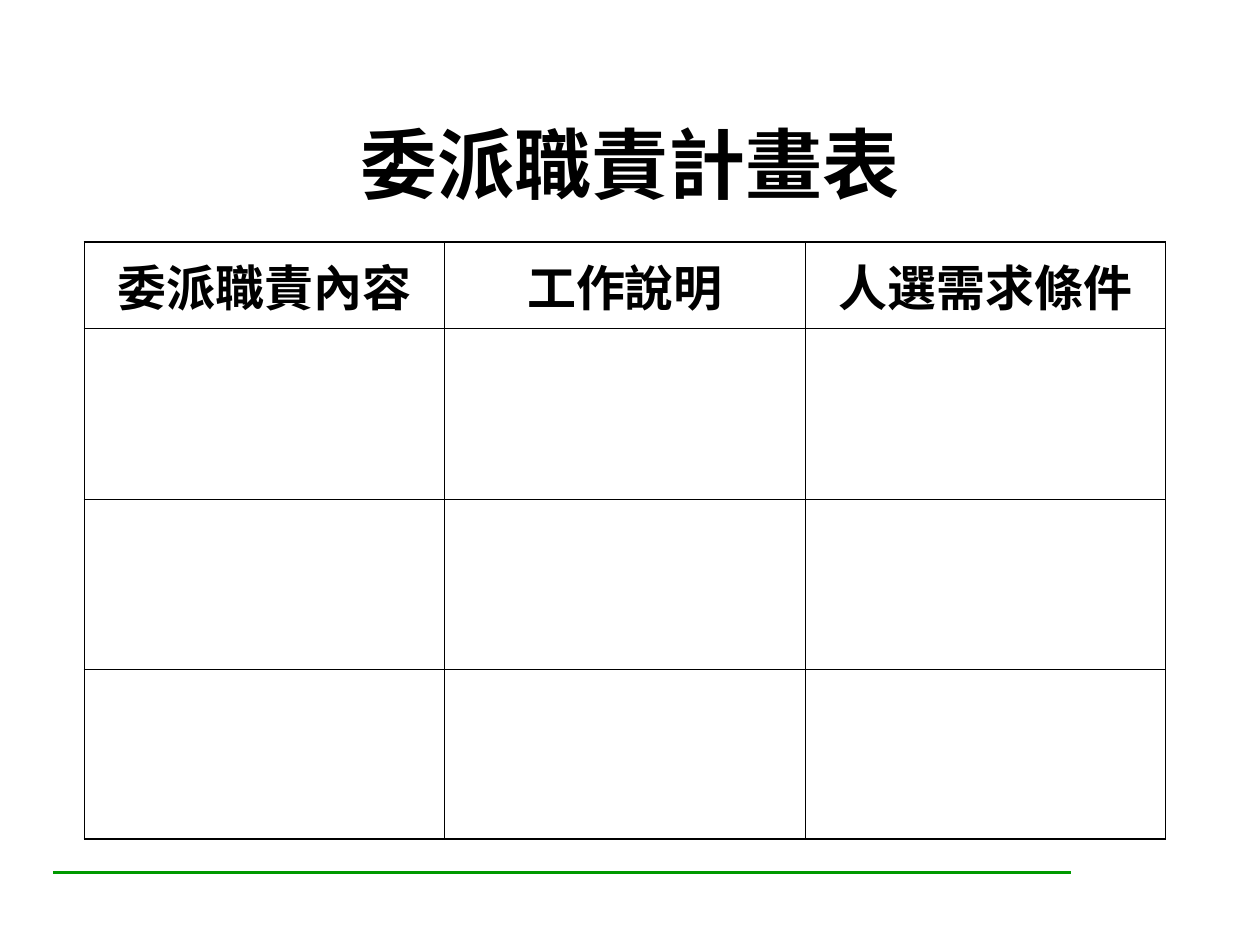
from lxml import etree
from pptx import Presentation
from pptx.dml.color import RGBColor
from pptx.enum.shapes import MSO_CONNECTOR
from pptx.enum.text import MSO_ANCHOR, PP_ALIGN
from pptx.oxml.ns import qn
from pptx.util import Inches, Pt

STRAIGHT = MSO_CONNECTOR.STRAIGHT
MIDDLE = MSO_ANCHOR.MIDDLE
CENTER = PP_ALIGN.CENTER

BLACK = RGBColor(0x00, 0x00, 0x00)
GREEN = RGBColor(0x00, 0x99, 0x00)
CJK_FONT = "Noto Sans CJK SC"
LATIN_FONT = "Times New Roman"
THIN, THICK = 0.45, 1.08

HEADINGS = ["委派職責內容", "工作說明", "人選需求條件"]
COLUMN_WIDTH = 2.86
ROW_HEIGHTS = [0.69, 1.35, 1.35, 1.35]


def write(frame, text, font=CJK_FONT, size=28, bold=True, color=BLACK):
    """Put one centred line of text in a text frame."""
    para = frame.paragraphs[0]
    para.alignment = CENTER
    span = para.add_run()
    span.text = text
    span.font.name = font
    span.font.size = Pt(size)
    span.font.bold = bold
    span.font.color.rgb = color
    latin = span.font._element.find(qn("a:latin"))
    east_asian = etree.Element(qn("a:ea"), typeface=CJK_FONT)
    latin.addnext(east_asian)


class PlanPage:
    """Style and current slide of the delegation plan."""

    def __init__(self, deck):
        self.page = deck.slides.add_slide(deck.slide_layouts[6])
        self.width, self.height = deck.slide_width, deck.slide_height

    def place(self, x, y):
        """Turn shares of the slide's size into lengths."""
        return round(x * self.width), round(y * self.height)

    def rule(self, start, end, color, weight):
        line = self.page.shapes.add_connector(
            STRAIGHT, *self.place(*start), *self.place(*end))
        line.line.color.rgb = color
        line.line.width = Pt(weight)
        etree.SubElement(line._element.spPr, qn("a:effectLst"))

    def title(self, corner, size, text):
        box = self.page.shapes.add_textbox(
            *self.place(*corner), *self.place(*size))
        box.text_frame.word_wrap = True
        box.text_frame.vertical_anchor = MIDDLE
        write(box.text_frame, text, size=44)

    def border(self, cell, weights):
        """Draw left, right, top and bottom borders, in that order."""
        properties = cell._tc.get_or_add_tcPr()
        for index, (side, weight) in enumerate(zip("LRTB", weights)):
            line = etree.Element(qn(f"a:ln{side}"), w=str(int(Pt(weight))))
            fill = etree.SubElement(line, qn("a:solidFill"))
            etree.SubElement(fill, qn("a:srgbClr"), val=str(BLACK))
            properties.insert(index, line)

    def grid(self, corner, headings, column_width, row_heights):
        columns, rows = len(headings), len(row_heights)
        table = self.page.shapes.add_table(
            rows, columns, *self.place(*corner),
            Inches(column_width * columns), Inches(sum(row_heights))).table
        table.first_row = table.horz_banding = False
        for column in table.columns:
            column.width = Inches(column_width)
        for row, height in zip(table.rows, row_heights):
            row.height = Inches(height)

        # Thick outer frame, thin inner lines
        for r in range(rows):
            for c in range(columns):
                cell = table.cell(r, c)
                cell.fill.background()
                cell.vertical_anchor = MIDDLE
                outer = (c == 0, c == columns - 1, r == 0, r == rows - 1)
                self.border(cell, [THICK if edge else THIN for edge in outer])

        for c, heading in enumerate(headings):
            write(table.cell(0, c).text_frame, heading, font=LATIN_FONT)


def main():
    deck = Presentation()
    deck.slide_width, deck.slide_height = Inches(10), Inches(7.5)
    plan = PlanPage(deck)

    # Footer rule
    plan.rule((0.042, 0.923), (0.85, 0.923), GREEN, 1.5)
    # Title
    plan.title((0.081, 0.097), (0.838, 0.151), "委派職責計畫表")
    # Delegation table
    plan.grid((0.067, 0.256), HEADINGS, COLUMN_WIDTH, ROW_HEIGHTS)

    deck.save("out.pptx")


if __name__ == "__main__":
    main()
